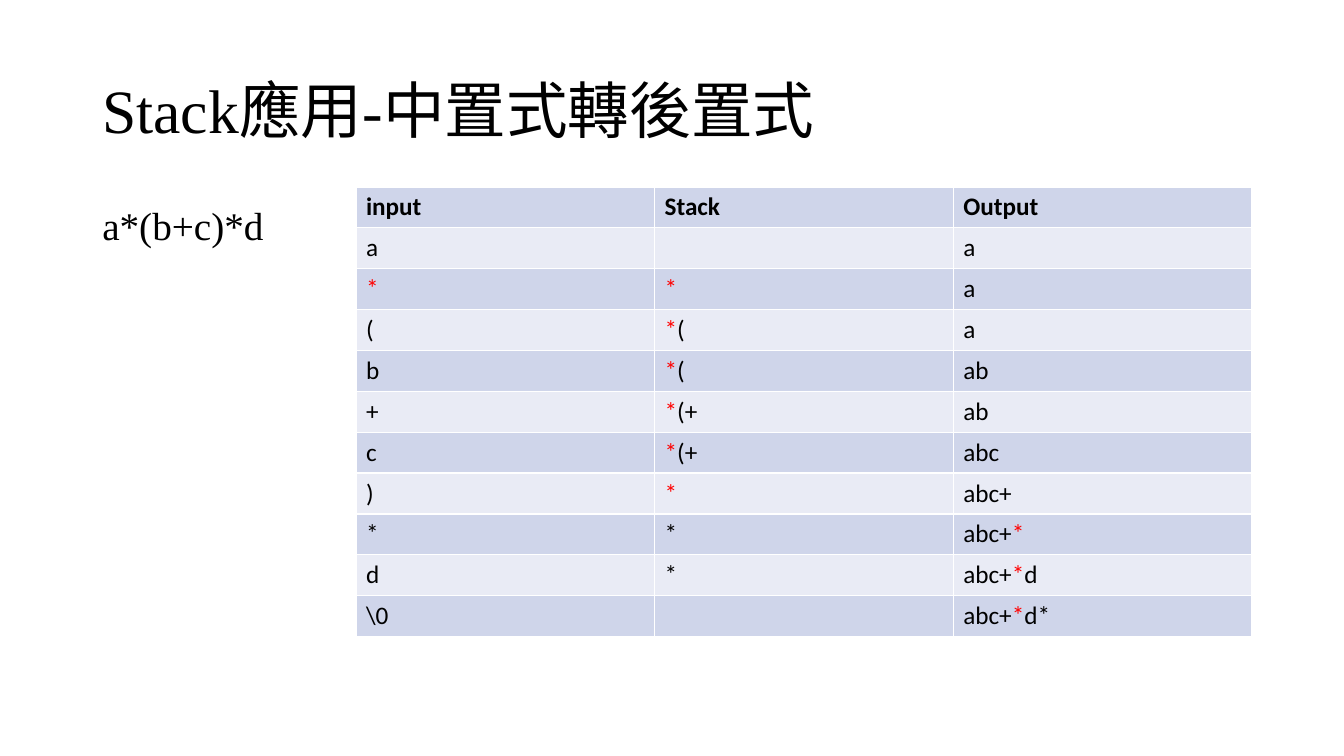
import itertools

import pptx
import pptx.dml.color
import pptx.enum.text
import pptx.oxml
import pptx.oxml.ns
import pptx.util

Cm, Pt = pptx.util.Cm, pptx.util.Pt
COLORS = {"text": "000000", "mark": "FF0000", "border": "FFFFFF",
          "dark": "CFD5EA", "light": "E9EBF5"}
MARK = "#"  # stands for a red asterisk
ROWS = [
    ("input", "Stack", "Output"),
    ("a", "", "a"),
    ("#", "#", "a"),
    ("(", "#(", "a"),
    ("b", "#(", "ab"),
    ("+", "#(+", "ab"),
    ("c", "#(+", "abc"),
    (")", "#", "abc+"),
    ("*", "*", "abc+#"),
    ("d", "*", "abc+#d"),
    ("\\0", "", "abc+#d*"),
]


def add_run(p, text, size, font, color="text", bold=False):
    """Add one formatted run to a paragraph."""
    r = p.add_run()
    r.text = text
    r.font.size = Pt(size)
    r.font.name = font
    r.font.bold = bold
    r.font.color.rgb = pptx.dml.color.RGBColor.from_string(COLORS[color])


def style_cell(cell, fill):
    """Give a cell thin borders on all sides and a solid fill."""
    tcPr = cell._tc.get_or_add_tcPr()
    for side in "LRTB":
        tcPr.append(pptx.oxml.parse_xml(
            f'<a:ln{side} {pptx.oxml.ns.nsdecls("a")} w="12700"><a:solidFill>'
            f'<a:srgbClr val="{COLORS["border"]}"/></a:solidFill></a:ln{side}>'))
    cell.fill.solid()
    cell.fill.fore_color.rgb = pptx.dml.color.RGBColor.from_string(COLORS[fill])


prs = pptx.Presentation()
prs.slide_width, prs.slide_height = Cm(33.87), Cm(19.05)
s = prs.slides.add_slide(prs.slide_layouts[6])

# Title and expression
anchors = pptx.enum.text.MSO_ANCHOR
for text, top, height, size, anchor, before in [
    ("Stack應用-中置式轉後置式", 1.01, 3.68, 44, anchors.MIDDLE, 0),
    ("a*(b+c)*d", 5.07, 12.09, 28, anchors.TOP, 10),
]:
    sp = s.shapes.add_textbox(Cm(2.33), Cm(top), Cm(29.21), Cm(height))
    tf = sp.text_frame
    tf.word_wrap = True
    tf.vertical_anchor = anchor
    p = tf.paragraphs[0]
    p.line_spacing = 0.9
    p.space_before = Pt(before)
    add_run(p, text, size, "Times New Roman")

# Conversion steps
table = s.shapes.add_table(len(ROWS), len(ROWS[0]), Cm(8.97), Cm(4.71),
                           Cm(22.58), Cm(11.33)).table
table.first_row = table.horz_banding = False
for i, row in enumerate(ROWS):
    table.rows[i].height = Cm(1.03)
    for j, text in enumerate(row):
        cell = table.cell(i, j)
        style_cell(cell, "light" if i % 2 else "dark")
        p = cell.text_frame.paragraphs[0]
        for marked, chars in itertools.groupby(text, lambda ch: ch == MARK):
            add_run(p, "".join(chars).replace(MARK, "*"), 18, "Calibri",
                    "mark" if marked else "text", bold=i == 0)

prs.save("out.pptx")
